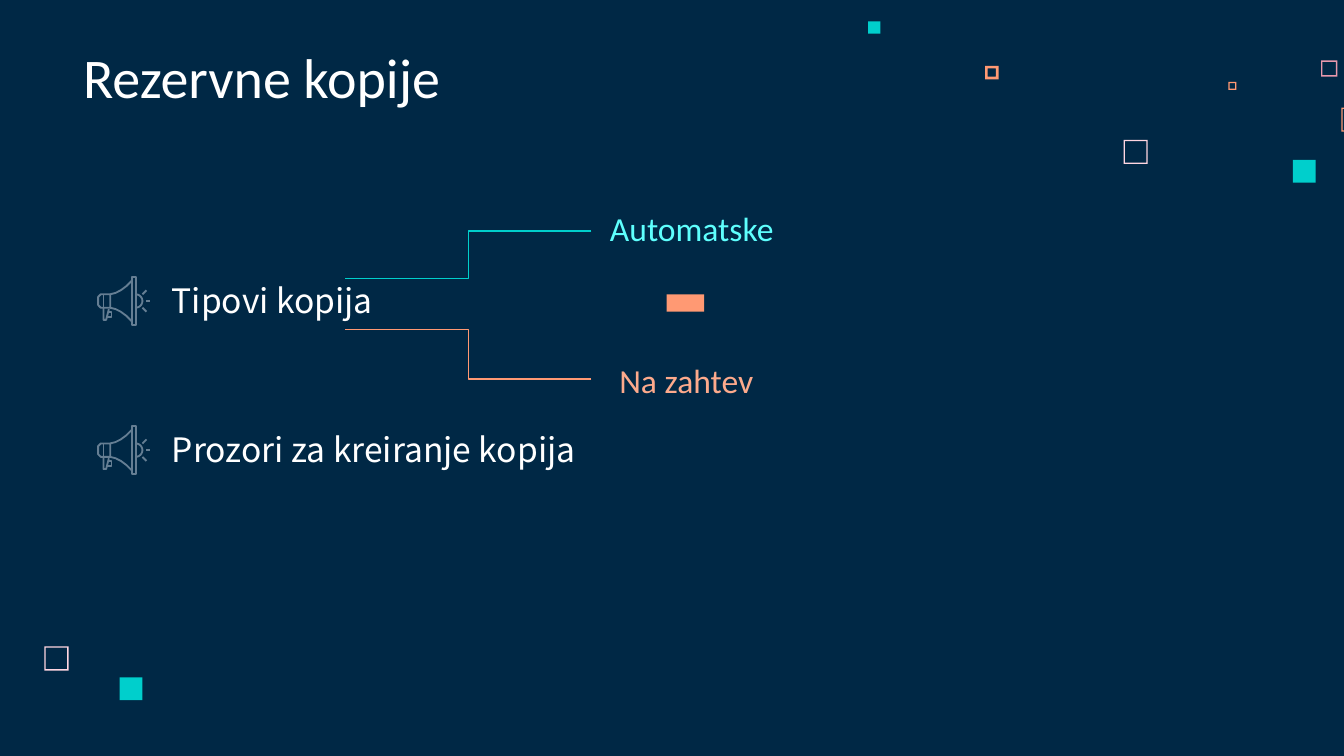
import math

from lxml import etree
from pptx import Presentation
from pptx.dml.color import RGBColor
from pptx.enum.shapes import MSO_CONNECTOR, MSO_SHAPE
from pptx.enum.text import MSO_ANCHOR
from pptx.oxml.ns import qn
from pptx.util import Inches, Pt

ELBOW, STRAIGHT = MSO_CONNECTOR.ELBOW, MSO_CONNECTOR.STRAIGHT
FRAME, RECTANGLE = MSO_SHAPE.FRAME, MSO_SHAPE.RECTANGLE
BOTTOM, MIDDLE = MSO_ANCHOR.BOTTOM, MSO_ANCHOR.MIDDLE

NAVY, WHITE, STEEL = "002845", "FFFFFF", "657E93"
TEAL, AQUA = "00CFCC", "5EFFFD"
ORANGE, PEACH = "FF9973", "FDAA8C"
PINK, ROSE = "FFD6E1", "E898AC"
HEADING_FONT, BODY_FONT = "Calibri", "Noto Sans CJK KR"

# left, top, side, colour, border thickness
HOLLOW_SQUARES = [
    (8.36, 1.04, 0.18, PINK, 0.01),
    (9.83, 0.45, 0.12, ROSE, 0.01),
    (9.14, 0.61, 0.06, ORANGE, 0.01),
    (9.98, 0.8, 0.18, ORANGE, 0.01),
    (7.33, 0.49, 0.1, ORANGE, 0.02),
    (0.33, 4.81, 0.18, PINK, 0.01),
]
# left, top, width, height, colour
SOLID_BLOCKS = [
    (9.62, 1.19, 0.17, 0.17, TEAL),
    (6.46, 0.16, 0.09, 0.09, TEAL),
    (0.89, 5.04, 0.17, 0.17, TEAL),
    (4.96, 2.19, 0.28, 0.13, ORANGE),
]
# text, left, top, width, height, format values, colour, anchor
TITLE_FORMAT = {"name": HEADING_FONT, "size": Pt(30)}
LABEL_FORMAT = {"name": HEADING_FONT, "size": Pt(18)}
ITEM_FORMAT = {"name": BODY_FONT, "size": Pt(18)}
TEXTS = [
    ("Rezervne kopije", 0.52, 0.29, 6.44, 0.63, TITLE_FORMAT, WHITE, BOTTOM),
    ("Automatske", 4.44, 1.32, 2.28, 0.63, LABEL_FORMAT, AQUA, BOTTOM),
    ("Na zahtev", 4.51, 2.45, 2.28, 0.63, LABEL_FORMAT, PEACH, BOTTOM),
    ("Tipovi kopija", 1.18, 1.92, 2.19, 0.62, ITEM_FORMAT, WHITE, MIDDLE),
    ("Prozori za kreiranje kopija", 1.18, 3.03, 3.39, 0.62, ITEM_FORMAT, WHITE, MIDDLE),
]
# begin, end, colour
BRANCHES = [
    ((4.4, 2.82), (2.57, 2.45), ORANGE),
    ((4.4, 1.72), (2.57, 2.07), TEAL),
]

# Megaphone strokes, measured from the top left corner of the icon
ICON_LEFT, ICON_TOPS, AXIS = 0.72, (2.05, 3.16), 0.19
BELL = [(0.1, 0.14), (0.14, 0.13), (0.18, 0.11), (0.22, 0.08), (0.26, 0.04)]
DOME = [
    (0.29 + 0.05 * math.cos(angle), AXIS + 0.05 * math.sin(angle))
    for angle in (math.radians(degrees) for degrees in range(-90, 91, 15))
]
CLOSED_OUTLINES = [
    [(0.1, 0.14), (0.03, 0.14), (0.01, 0.16), (0.01, 0.22), (0.03, 0.24), (0.1, 0.24)],
    [(0.26, 0.01), (0.29, 0.01), (0.29, 0.37), (0.26, 0.37)],
]
OPEN_OUTLINES = [
    BELL,
    [(x, 2 * AXIS - y) for x, y in BELL],
    DOME,
    [(0.05, 0.24), (0.05, 0.33), (0.07, 0.33), (0.09, 0.25)],
    [(0.09, 0.27), (0.11, 0.27), (0.11, 0.31), (0.08, 0.31)],
]
ICON_LINES = [
    ((0.05, 0.14), (0.05, 0.24)),
    ((0.37, AXIS), (0.4, AXIS)),
    ((0.34, 0.14), (0.37, 0.11)),
    ((0.34, 0.24), (0.37, 0.27)),
]


def color(hex_string):
    return RGBColor.from_string(hex_string)


def add_block(shapes, kind, left, top, width, height, fill):
    shape = shapes.add_shape(kind, Inches(left), Inches(top), Inches(width), Inches(height))
    shape.shadow.inherit = False
    shape.fill.solid()
    shape.fill.fore_color.rgb = color(fill)
    shape.line.fill.background()
    return shape


def add_hollow_square(shapes, left, top, side, fill, thickness):
    frame = add_block(shapes, FRAME, left, top, side, side, fill)
    frame.adjustments[0] = thickness / side


def add_text(shapes, text, left, top, width, height, font_format, fill, anchor):
    box = shapes.add_textbox(Inches(left), Inches(top), Inches(width), Inches(height))
    frame = box.text_frame
    frame.word_wrap = True
    frame.vertical_anchor = anchor
    for side in ("left", "right", "top", "bottom"):
        setattr(frame, f"margin_{side}", Inches(0.1))
    run = frame.paragraphs[0].add_run()
    run.text = text
    for name, value in font_format.items():
        setattr(run.font, name, value)
    run.font.color.rgb = color(fill)


def add_line(shapes, kind, begin, end, stroke, width):
    points = [Inches(value) for value in (*begin, *end)]
    connector = shapes.add_connector(kind, *points)
    connector.line.color.rgb = color(stroke)
    connector.line.width = Pt(width)
    etree.SubElement(connector._element.spPr, qn("a:effectLst"))


def add_outline(shapes, points, close):
    start, *rest = [(Inches(x), Inches(y)) for x, y in points]
    builder = shapes.build_freeform(*start)
    builder.add_line_segments(rest, close=close)
    shape = builder.convert_to_shape()
    shape.shadow.inherit = False
    shape.fill.background()
    shape.line.color.rgb = color(STEEL)
    shape.line.width = Pt(1)


def add_megaphone(shapes, left, top):
    def place(points):
        return [(left + x, top + y) for x, y in points]

    icon = shapes.add_group_shape().shapes
    for points in CLOSED_OUTLINES:
        add_outline(icon, place(points), True)
    for points in OPEN_OUTLINES:
        add_outline(icon, place(points), False)
    for points in ICON_LINES:
        add_line(icon, STRAIGHT, *place(points), STEEL, 1)


def main():
    presentation = Presentation()
    presentation.slide_width = Inches(10)
    presentation.slide_height = Inches(10 * 9 / 16)
    slide = presentation.slides.add_slide(presentation.slide_layouts[6])
    slide.background.fill.solid()
    slide.background.fill.fore_color.rgb = color(NAVY)

    for square in HOLLOW_SQUARES:
        add_hollow_square(slide.shapes, *square)
    for block in SOLID_BLOCKS:
        add_block(slide.shapes, RECTANGLE, *block)
    for begin, end, stroke in BRANCHES:
        add_line(slide.shapes, ELBOW, begin, end, stroke, 0.75)
    for text in TEXTS:
        add_text(slide.shapes, *text)
    for top in ICON_TOPS:
        add_megaphone(slide.shapes, ICON_LEFT, top)

    presentation.save("out.pptx")


if __name__ == "__main__":
    main()
